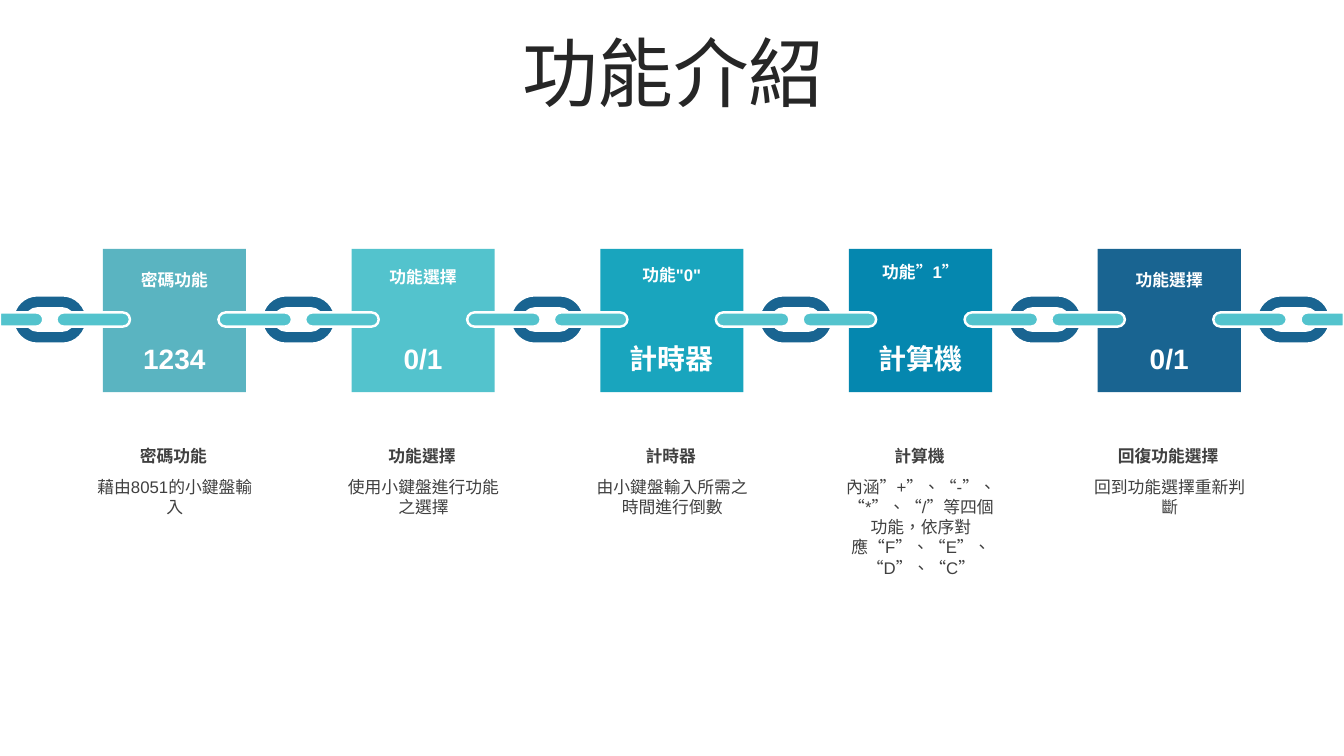
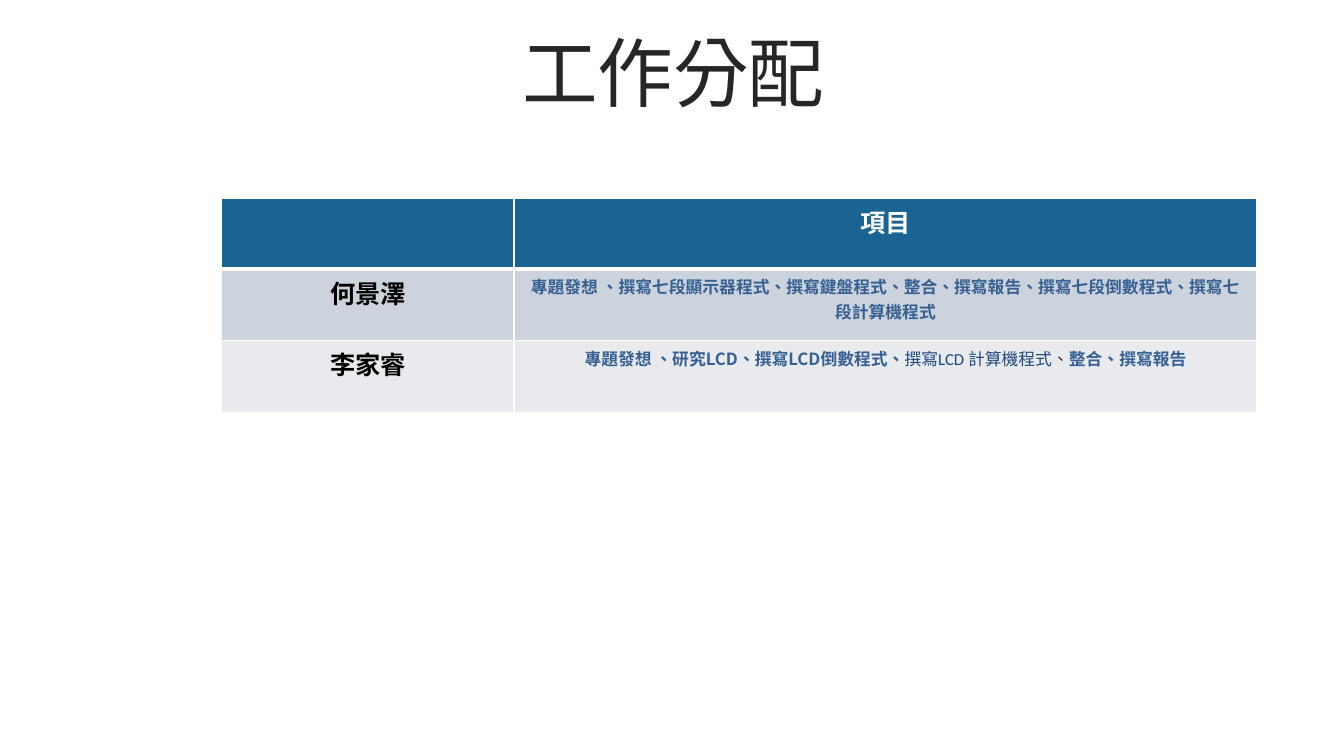
from lxml import etree
from pptx import Presentation
from pptx import util as u
from pptx.dml.color import RGBColor
from pptx.enum import lang, shapes, text
from pptx.oxml import ns

WHITE = RGBColor(0xFF, 0xFF, 0xFF)
BLACK = RGBColor(0, 0, 0)
TITLE_INK = RGBColor(0x26, 0x26, 0x26)
BODY_INK = RGBColor(0x40, 0x40, 0x40)
NAVY = RGBColor(0x19, 0x64, 0x91)
AQUA = RGBColor(0x53, 0xC3, 0xCD)
TEAL = RGBColor(0x5A, 0xB4, 0xC1)
CYAN = RGBColor(0x19, 0xA5, 0xBE)
BLUE = RGBColor(0x05, 0x87, 0xAF)
TASK_BLUE = RGBColor(0x36, 0x60, 0x92)
DARK_BLUE = RGBColor(0x1F, 0x49, 0x7D)
MAROON = RGBColor(0x63, 0x25, 0x23)
ROW_DARK = RGBColor(0xCC, 0xD3, 0xDC)
ROW_LIGHT = RGBColor(0xE8, 0xEA, 0xEE)
LATIN, CJK = "Arial", "Noto Sans CJK TC"


def style(run, size, color, bold=False, font=LATIN):
    run.font.size, run.font.bold, run.font.name = u.Pt(size), bold, font
    run.font.color.rgb = color
    run.font.language_id = lang.MSO_LANGUAGE_ID.TRADITIONAL_CHINESE
    etree.SubElement(run.font._element, ns.qn("a:ea"), typeface=CJK)


def add_curved(group, contours):
    """Draw closed contours; a step of one point is a line, of three a Bézier curve."""
    contours = [[[(u.Inches(x), u.Inches(y)) for x, y in step] for step in contour] for contour in contours]
    builder = group.build_freeform(*contours[0][0][0], scale=1.0)
    for index, (start, *steps) in enumerate(contours):
        if index:
            builder.move_to(*start[0])
        builder.add_line_segments([point for step in steps for point in step], close=True)
    shape = builder.convert_to_shape()
    # Merge the control points into curves
    for index, contour in enumerate(contours):
        move = list(shape._element.iter(ns.qn("a:moveTo")))[index]
        lines = iter(list(move.itersiblings(ns.qn("a:lnTo"))))
        for step in contour[1:]:
            first = next(lines)
            if len(step) == 3:
                first.tag = ns.qn("a:cubicBezTo")
                for _ in range(2):
                    extra = next(lines)
                    first.append(extra[0])
                    extra.getparent().remove(extra)
        closing = next(lines, None)
        if closing is not None and closing.getprevious() is not None and index == len(contours) - 1:
            closing.getparent().remove(closing)
    return shape


prs = Presentation()
prs.slide_width, prs.slide_height = u.Inches(40 / 3), u.Inches(7.5)

# Both slides share one title style
slides = []
for heading in ("功能介紹", "工作分配"):
    slide = prs.slides.add_slide(prs.slide_layouts[6])
    slides.append(slide)
    title = slide.shapes.add_textbox(u.Inches(0.35), u.Inches(0.37), u.Inches(12.66), u.Inches(0.79)).text_frame
    title.word_wrap = True
    title.vertical_anchor = text.MSO_ANCHOR.MIDDLE
    title.text = heading
    title.paragraphs[0].alignment = text.PP_ALIGN.CENTER
    title.paragraphs[0].line_spacing = 0.9
    style(title.paragraphs[0].runs[0], 54, TITLE_INK)
features, duties = slides

# Slide 1: grid of five columns on a chain
FIRST_LEFT, LAST_LEFT, SQUARE, SQUARE_TOP = 1.02, 10.89, 1.42, 2.47
steps = [  # colour, label, label top, value, caption, explanation
    (TEAL, "密碼功能", 2.63, "1234", "密碼功能", "藉由8051的小鍵盤輸入"),
    (AQUA, "功能選擇", 2.6, "0/1", "功能選擇", "使用小鍵盤進行功能之選擇"),
    (CYAN, "功能\"0\"", 2.58, "計時器", "計時器", "由小鍵盤輸入所需之時間進行倒數"),
    (BLUE, "功能”1”", 2.55, "計算機", "計算機",
     "內涵”+”、“-”、“*”、“/”等四個功能，依序對應“F”、“E”、“D”、“C”"),
    (NAVY, "功能選擇", 2.63, "0/1", "回復功能選擇", "回到功能選擇重新判斷"),
]
PITCH = (LAST_LEFT - FIRST_LEFT) / (len(steps) - 1)
for column, step in enumerate(steps):
    square = features.shapes.add_shape(
        shapes.MSO_SHAPE.ROUNDED_RECTANGLE, u.Inches(FIRST_LEFT + column * PITCH), u.Inches(SQUARE_TOP),
        u.Inches(SQUARE), u.Inches(SQUARE))
    square.adjustments[0] = 0
    square.shadow.inherit = False
    square.fill.solid()
    square.fill.fore_color.rgb = step[0]
    square.line.fill.background()

# Chain links: a ring and two bars, cut straight at the slide edges
CHAIN_Y, RING_W, RING_H, RING_BAND = 3.17, 0.73, 0.48, 0.13
BAR_W, BAR_H, BAR_SHIFT, HALF_BAR = 0.73, 0.14, 0.43, 0.43
ROUNDNESS = 0.55  # handle length of a quarter circle
for position in range(len(steps) + 1):
    ring_left = 0.13 + position * PITCH
    link = features.shapes.add_group_shape().shapes

    # Ring: outer outline and hole
    ring = []
    for inset in (0, RING_BAND):
        r = RING_H / 2 - inset
        k = r * ROUNDNESS
        x0, x1 = ring_left + inset, ring_left + RING_W - inset
        y0, y1 = CHAIN_Y - r, CHAIN_Y + r
        ring.append([
            [(x0 + r, y0)],
            [(x1 - r, y0)],
            [(x1 - r + k, y0), (x1, CHAIN_Y - k), (x1, CHAIN_Y)],
            [(x1, CHAIN_Y + k), (x1 - r + k, y1), (x1 - r, y1)],
            [(x0 + r, y1)],
            [(x0 + r - k, y1), (x0, CHAIN_Y + k), (x0, CHAIN_Y)],
            [(x0, CHAIN_Y - k), (x0 + r - k, y0), (x0 + r, y0)],
        ])
    parts = [(add_curved(link, ring), NAVY)]

    # Bars: right one, then left one
    for side in (1, -1):
        bar_left = ring_left + side * BAR_SHIFT
        if (position, side) in ((0, -1), (len(steps), 1)):
            edge = 0 if side < 0 else 40 / 3
            tip = edge - side * HALF_BAR
            r = BAR_H / 2
            k = r * ROUNDNESS
            y0, y1 = CHAIN_Y - r, CHAIN_Y + r
            bend = tip + side * r
            bar = add_curved(link, [[
                [(edge, y0)],
                [(bend, y0)],
                [(bend - side * k, y0), (tip, CHAIN_Y - k), (tip, CHAIN_Y)],
                [(tip, CHAIN_Y + k), (bend - side * k, y1), (bend, y1)],
                [(edge, y1)],
            ]])
        else:
            bar = link.add_shape(
                shapes.MSO_SHAPE.ROUNDED_RECTANGLE, u.Inches(bar_left), u.Inches(CHAIN_Y - BAR_H / 2),
                u.Inches(BAR_W), u.Inches(BAR_H))
            bar.adjustments[0] = 0.5
        parts.append((bar, AQUA))
    for part, color in parts:
        part.shadow.inherit = False
        part.fill.solid()
        part.fill.fore_color.rgb = color
        part.line.color.rgb = WHITE
        part.line.width = u.Pt(1.75)

# Words in and below the squares, offset from the square's left side
for column, (_, label, label_top, value, caption, explanation) in enumerate(steps):
    for words, offset, top, width, height, size, color, bold in (
            (label, 0.13, label_top, 1.16, 0.3, 12, WHITE, True),
            (value, 0.13, 3.34, 1.16, 0.44, 20, WHITE, True),
            (caption, -0.18, 4.37, 1.76, 0.3, 12, BODY_INK, True),
            (explanation, -0.17, 4.68, 1.77, 0.5, 12, BODY_INK, False)):
        frame = features.shapes.add_textbox(
            u.Inches(FIRST_LEFT + column * PITCH + offset), u.Inches(top),
            u.Inches(width), u.Inches(height)).text_frame
        frame.word_wrap = True
        frame.auto_size = text.MSO_AUTO_SIZE.SHAPE_TO_FIT_TEXT
        frame.text = words
        frame.paragraphs[0].alignment = text.PP_ALIGN.CENTER
        style(frame.paragraphs[0].runs[0], size, color, bold)

# Slide 2: who does what, each cell a list of (words, size, colour, bold, font)
rows = [
    (NAVY, [], [("項目", 18, WHITE, True, LATIN)]),
    (ROW_DARK, [("何景澤", 18, BLACK, True, LATIN)],
     [("專題發想 、撰寫七段顯示器程式、撰寫鍵盤程式、整合、撰寫報告、撰寫七段倒數程式、撰寫七段計算機程式",
       12, TASK_BLUE, True, CJK)]),
    (ROW_LIGHT, [("李家睿", 18, BLACK, True, LATIN)],
     [("專題發想 、研究LCD、撰寫LCD倒數程式、", 12, TASK_BLUE, True, CJK),
      ("撰寫LCD 計算機程式", 12, DARK_BLUE, False, "Calibri"),
      ("、", 12, MAROON, False, "Calibri"),
      ("整合、撰寫報告", 12, TASK_BLUE, True, CJK)]),
]
table = duties.shapes.add_table(
    len(rows), 2, u.Inches(2.2), u.Inches(1.97), u.Inches(10.27), u.Inches(2.12)).table
for column, width in zip(table.columns, (2.9, 7.37)):
    column.width = u.Inches(width)
for row, height in zip(table.rows, (0.7, 0.71, 0.71)):
    row.height = u.Inches(height)
for row, (fill, *cells) in enumerate(rows):
    for column, pieces in enumerate(cells):
        cell = table.cell(row, column)
        cell.fill.solid()
        cell.fill.fore_color.rgb = fill
        paragraph = cell.text_frame.paragraphs[0]
        paragraph.alignment = text.PP_ALIGN.CENTER
        for words, *look in pieces:
            run = paragraph.add_run()
            run.text = words
            style(run, *look)

# White borders, thicker below the header
for row in range(len(rows)):
    for cell in table.rows[row].cells:
        for index, side in enumerate(("lnL", "lnR", "lnT", "lnB")):
            points = 3 if (row, side) in ((0, "lnB"), (1, "lnT")) else 1
            border = etree.Element(ns.qn("a:" + side), w=str(u.Pt(points)))
            paint = etree.SubElement(border, ns.qn("a:solidFill"))
            etree.SubElement(paint, ns.qn("a:srgbClr"), val=str(WHITE))
            cell._tc.get_or_add_tcPr().insert(index, border)

prs.save("out.pptx")
